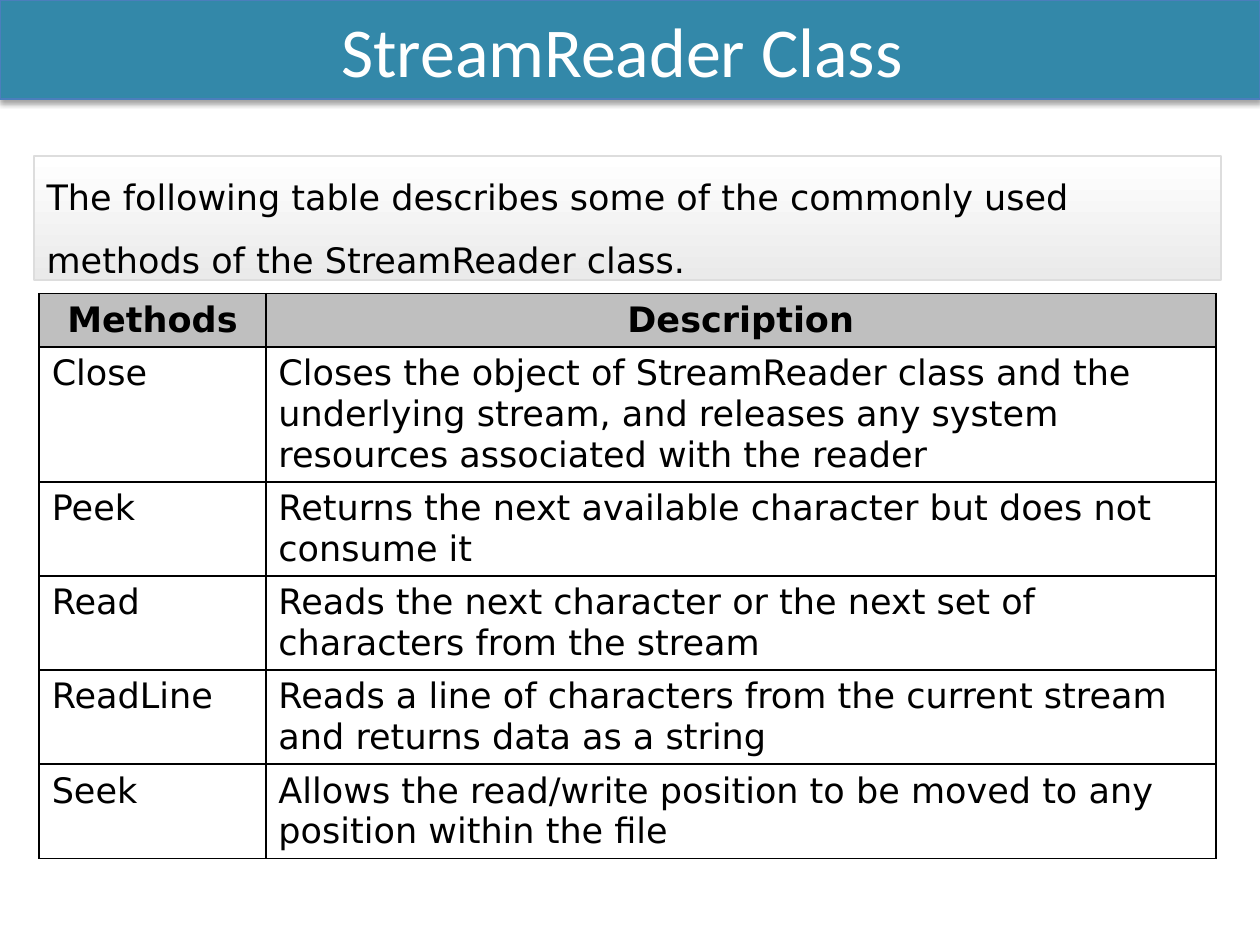
from pptx import Presentation
from pptx.dml.color import RGBColor
from pptx.enum.shapes import MSO_SHAPE
from pptx.enum.text import MSO_ANCHOR, PP_ALIGN
from pptx.oxml import parse_xml
from pptx.oxml.ns import nsdecls
from pptx.util import Cm, Pt

BLACK = RGBColor(0x00, 0x00, 0x00)
WHITE = RGBColor(0xFF, 0xFF, 0xFF)
TEAL = RGBColor(0x33, 0x88, 0xA9)
BLUE = RGBColor(0x4B, 0x7E, 0xBC)
GREY = RGBColor(0xBF, 0xBF, 0xBF)
PALE = RGBColor(0xEA, 0xEA, 0xEA)
EDGE = RGBColor(0xDD, 0xDD, 0xDD)

BODY = "DejaVu Sans"
INTRO = ("The following table describes some of the commonly used "
         "methods of the StreamReader class.")
ROWS = [
    ("Methods", "Description"),
    ("Close", "Closes the object of StreamReader class and the underlying "
              "stream, and releases any system resources associated with "
              "the reader"),
    ("Peek", "Returns the next available character but does not consume it"),
    ("Read", "Reads the next character or the next set of characters from "
             "the stream"),
    ("ReadLine", "Reads a line of characters from the current stream and "
                 "returns data as a string"),
    ("Seek", "Allows the read/write position to be moved to any position "
             "within the file"),
]
WIDTHS = [4.57, 19.15]
HEIGHTS = [0.91, 1.8, 0.79, 1.57, 1.57, 1.3]


def write(frame, text, size, face, color, align, bold=False):
    para = frame.paragraphs[0]
    para.text = text
    para.alignment = align
    font = para.font
    font.size, font.name, font.bold = Pt(size), face, bold
    font.color.rgb = color
    return para


def add_box(slide, left, top, width, height, edge, weight):
    box = slide.shapes.add_shape(
        MSO_SHAPE.RECTANGLE, Cm(left), Cm(top), Cm(width), Cm(height))
    box.shadow.inherit = False
    box.line.color.rgb = edge
    box.line.width = Pt(weight)
    box.text_frame.word_wrap = True
    box.text_frame.vertical_anchor = MSO_ANCHOR.MIDDLE
    return box


def add_shade(box):
    # Soft shadow straight below the box
    effects = box._element.spPr.find(
        "{http://schemas.openxmlformats.org/drawingml/2006/main}effectLst")
    effects.append(parse_xml(
        f'<a:outerShdw {nsdecls("a")} blurRad="{Pt(3.1)}" dist="{Pt(1.8)}" '
        'dir="5400000" rotWithShape="0"><a:srgbClr val="000000">'
        '<a:alpha val="35000"/></a:srgbClr></a:outerShdw>'))


def add_title(slide):
    bar = add_box(slide, 0, 0, 25.4, 2, BLUE, 0.75)
    bar.fill.solid()
    bar.fill.fore_color.rgb = TEAL
    add_shade(bar)
    write(bar.text_frame, "StreamReader Class ", 40, "Calibri", WHITE,
          PP_ALIGN.CENTER)


def add_intro(slide):
    box = add_box(slide, 0.69, 3.15, 23.93, 2.49, EDGE, 1)
    box.fill.gradient()
    box.fill.gradient_angle = 270
    for stop, color in zip(box.fill.gradient_stops, (WHITE, PALE)):
        stop.color.rgb = color
    para = write(box.text_frame, INTRO, 20, BODY, BLACK, PP_ALIGN.LEFT)
    para.line_spacing = 1.5


def add_border(cell):
    # Borders come before the fill in the cell properties
    props = cell._tc.get_or_add_tcPr()
    for spot, side in enumerate(("lnL", "lnR", "lnT", "lnB")):
        props.insert(spot, parse_xml(
            f'<a:{side} {nsdecls("a")} w="{Pt(1)}"><a:solidFill>'
            f'<a:srgbClr val="{BLACK}"/></a:solidFill></a:{side}>'))


def add_grid(slide):
    frame = slide.shapes.add_table(
        len(ROWS), len(WIDTHS), Cm(0.79), Cm(5.92), Cm(23.72), Cm(11.68))
    table = frame.table
    for col, width in zip(table.columns, WIDTHS):
        col.width = Cm(width)
    for row, height in zip(table.rows, HEIGHTS):
        row.height = Cm(height)
    for r, texts in enumerate(ROWS):
        head = r == 0
        for c, text in enumerate(texts):
            cell = table.cell(r, c)
            if head:
                cell.fill.solid()
                cell.fill.fore_color.rgb = GREY
                cell.vertical_anchor = MSO_ANCHOR.MIDDLE
            else:
                cell.fill.background()
            add_border(cell)
            write(cell.text_frame, text, 20, BODY, BLACK,
                  PP_ALIGN.CENTER if head else PP_ALIGN.LEFT, head)
    frame.height = Cm(11.68)


def main():
    deck = Presentation()
    deck.slide_width, deck.slide_height = Cm(25.4), Cm(19.05)
    slide = deck.slides.add_slide(deck.slide_layouts[6])
    add_grid(slide)
    add_title(slide)
    add_intro(slide)
    deck.save("out.pptx")


if __name__ == "__main__":
    main()
